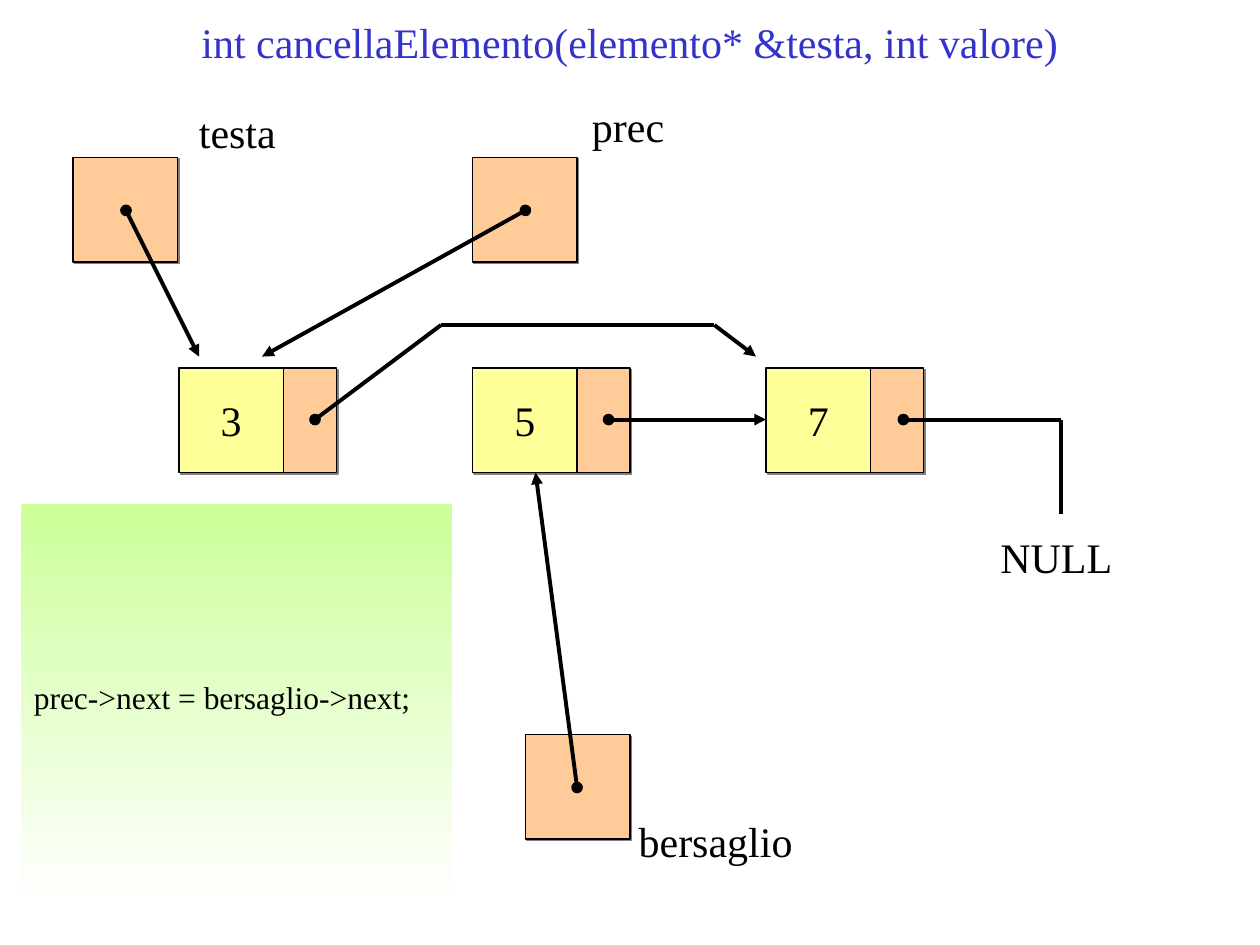
from pptx import Presentation
from pptx.dml.color import RGBColor
from pptx.enum.shapes import MSO_CONNECTOR, MSO_SHAPE
from pptx.enum.text import MSO_ANCHOR, PP_ALIGN
from pptx.oxml.ns import qn
from pptx.util import Inches, Pt
from lxml import etree

RECT = MSO_SHAPE.RECTANGLE
STRAIGHT = MSO_CONNECTOR.STRAIGHT
MIDDLE, TOP = MSO_ANCHOR.MIDDLE, MSO_ANCHOR.TOP
CENTER, LEFT = PP_ALIGN.CENTER, PP_ALIGN.LEFT

FONT = "Times New Roman"
COLORS = {"ink": "000000", "title": "3333CC", "value": "FFFF99",
          "pointer": "FFCC99", "green": "CCFF99", "white": "FFFFFF",
          "shadow": "808080"}
CELL = 0.83
NEXT_WIDTH = 0.42
NODE_TOP = 2.92

TITLE = "int cancellaElemento(elemento* &testa, int valore)"
NODES = [("3", 1.42), ("5", 3.75), ("7", 6.08)]
POINTERS = [(0.58, 1.25), (3.75, 1.25), (4.17, 5.83)]
LABELS = [
    ("testa", 1.48, 0.8, 0.81, 0.5, 24),
    ("prec", 4.6, 0.75, 0.77, 0.5, 24),
    ("NULL", 7.84, 4.17, 1.09, 0.5, 24),
    ("bersaglio", 4.97, 6.42, 1.42, 0.5, 24),
    ("prec->next = bersaglio->next;", 0.17, 5.33, 3.19, 0.4, 18),
]
LINES = [
    ((1, 1.67), (1.58, 2.83), "oval", "triangle"),
    ((4.17, 1.67), (2.08, 2.83), "oval", "triangle"),
    ((2.5, 3.33), (3.5, 2.58), "oval", None),
    ((3.5, 2.58), (5.67, 2.58), None, None),
    ((5.67, 2.58), (6, 2.83), None, "triangle"),
    ((4.83, 3.33), (6.08, 3.33), "oval", "triangle"),
    ((7.17, 3.33), (8.42, 3.33), "oval", None),
    ((8.42, 3.33), (8.42, 4.08), None, None),
    ((4.58, 6.25), (4.25, 3.75), "oval", "triangle"),
]


def rgb(name):
    return RGBColor.from_string(COLORS[name])


def write(s, text, size=24, color="ink", align=LEFT, anchor=TOP, wrap=False):
    tf = s.text_frame
    tf.text = text
    tf.word_wrap = wrap
    tf.vertical_anchor = anchor
    p = tf.paragraphs[0]
    p.alignment = align
    font = p.runs[0].font
    font.name, font.size = FONT, Pt(size)
    font.color.rgb = rgb(color)


def add_rect(slide, *box):
    s = slide.shapes.add_shape(RECT, *map(Inches, box))
    s.shadow.inherit = False
    return s


def add_cell(slide, left, top, width, color):
    s = add_rect(slide, left, top, width, CELL)
    s.fill.solid()
    s.fill.fore_color.rgb = rgb(color)
    s.line.color.rgb = rgb("ink")
    s.line.width = Pt(0.75)
    effects = s._element.spPr.find(qn("a:effectLst"))
    shadow = etree.SubElement(effects, qn("a:outerShdw"), dist=str(Pt(1.4)),
                              dir="2700000", algn="ctr", rotWithShape="0")
    etree.SubElement(shadow, qn("a:srgbClr"), val=COLORS["shadow"])
    return s


def add_line(slide, start, end, head, tail):
    s = slide.shapes.add_connector(STRAIGHT, *map(Inches, start + end))
    s.line.color.rgb = rgb("ink")
    s.line.width = Pt(2.25)
    ln = s.line._get_or_add_ln()
    for tag, kind in (("a:headEnd", head), ("a:tailEnd", tail)):
        if kind:
            etree.SubElement(ln, qn(tag), type=kind)
    etree.SubElement(s._element.spPr, qn("a:effectLst"))


def add_text(slide, text, left, top, width, height, size, **style):
    s = slide.shapes.add_textbox(*map(Inches, (left, top, width, height)))
    write(s, text, size, **style)


def main():
    prs = Presentation()
    prs.slide_width, prs.slide_height = Inches(10), Inches(7.5)
    slide = prs.slides.add_slide(prs.slide_layouts[6])

    panel = add_rect(slide, 0.17, 4, 3.42, 3.17)
    panel.line.fill.background()
    panel.fill.gradient()
    panel.fill.gradient_angle = 270
    for stop, position, color in zip(panel.fill.gradient_stops, (0, 1), ("green", "white")):
        stop.position = position
        stop.color.rgb = rgb(color)

    for value, left in NODES:
        s = add_cell(slide, left, NODE_TOP, CELL, "value")
        write(s, value, align=CENTER, anchor=MIDDLE)
        add_cell(slide, left + CELL, NODE_TOP, NEXT_WIDTH, "pointer")
    for left, top in POINTERS:
        add_cell(slide, left, top, CELL, "pointer")
    for line in LINES:
        add_line(slide, *line)
    for label in LABELS:
        add_text(slide, *label)
    add_text(slide, TITLE, 0.75, 0, 8.5, 0.67, 24, color="title",
             align=CENTER, anchor=MIDDLE, wrap=True)

    prs.save("out.pptx")


if __name__ == "__main__":
    main()
